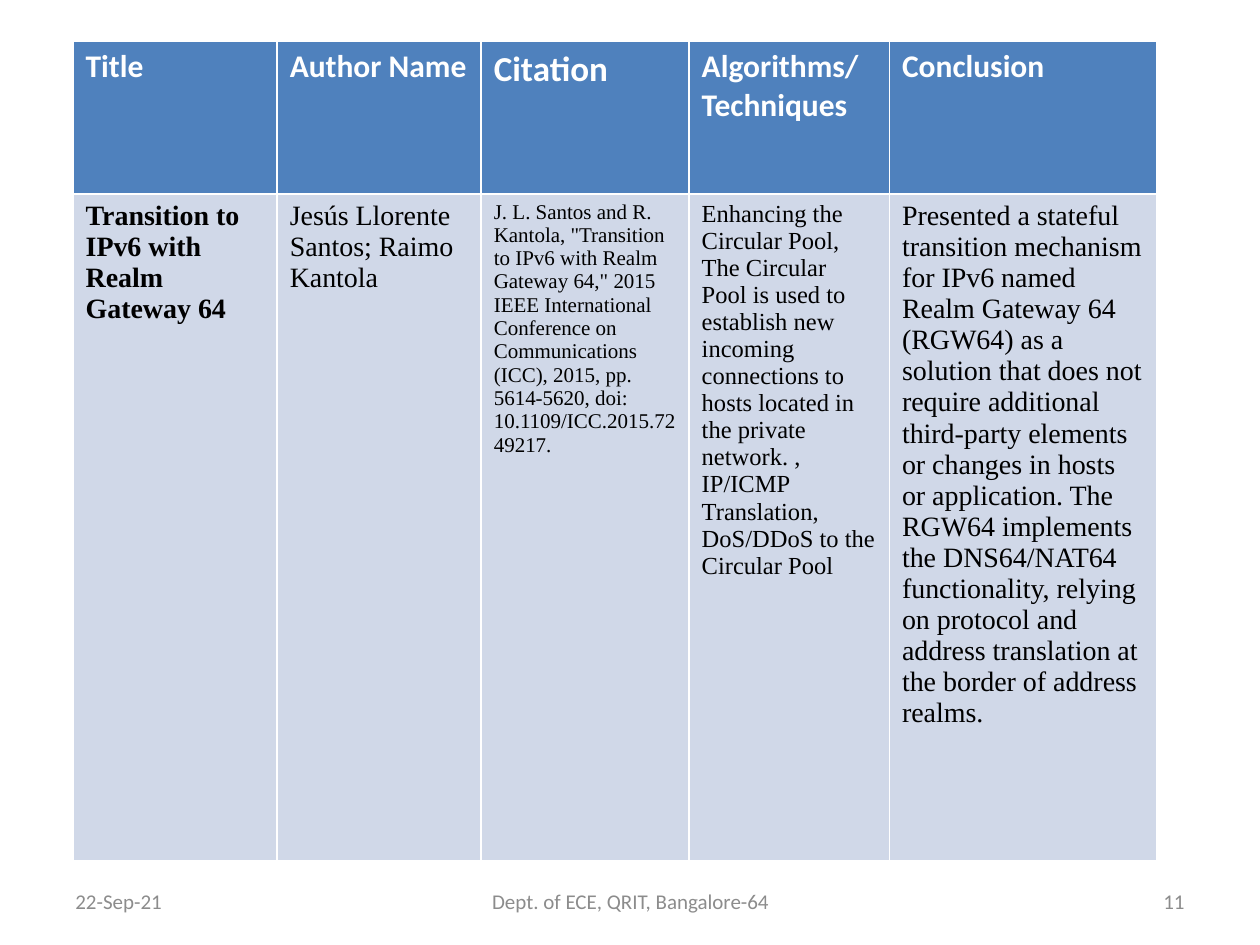
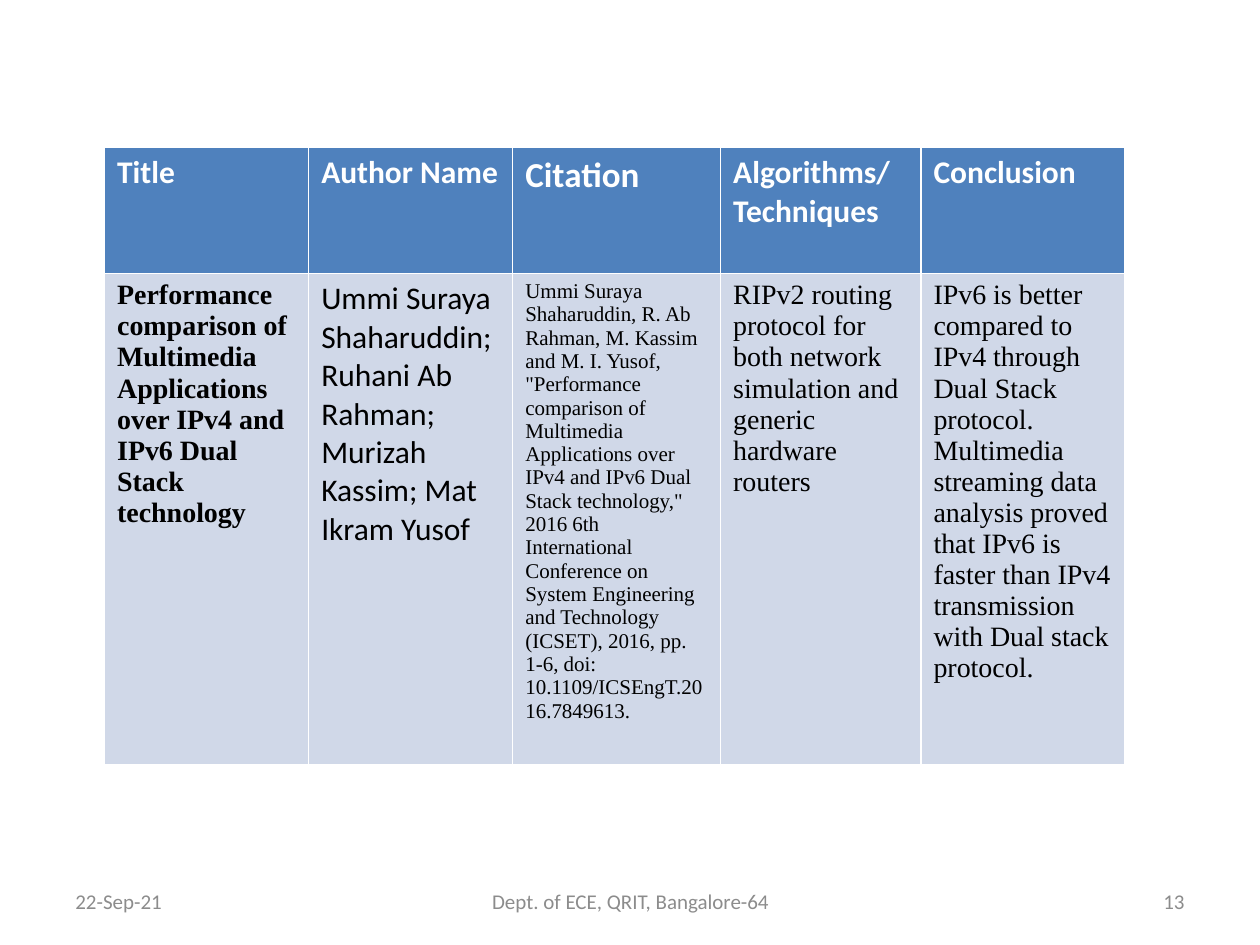
from pptx import Presentation
from pptx.dml.color import RGBColor
from pptx.enum.text import MSO_ANCHOR, PP_ALIGN
from pptx.util import Inches, Pt

COLORS = {"header": "4F81BD", "body": "D0D8E8", "header_text": "FFFFFF",
          "body_text": "000000", "footer_text": "8C8C8C"}
SANS, SERIF = "Calibri", "Times New Roman"

HEADINGS = [("Title", 18), ("Author Name", 18), ("Citation", 20),
            ("Algorithms/Techniques", 18), ("Conclusion", 18)]
FIRST_COLUMNS = [1.62, 1.62, 1.65, 1.59]
FOOTER_TOP, FOOTER_HEIGHT = 6.95, 0.4

# Each paper cell is (text, size, font).
PAPERS = [
    {
        "number": "11",
        "corner": (0.58, 0.33),
        "last_column": 2.12,
        "rows": [1.21, 5.29],
        "cells": [
            ("Transition to IPv6 with Realm Gateway 64", 16, SERIF),
            ("Jesús Llorente Santos; Raimo Kantola", 16, SERIF),
            ('J. L. Santos and R. Kantola, "Transition to IPv6 with Realm '
             'Gateway 64," 2015 IEEE International Conference on '
             "Communications (ICC), 2015, pp. 5614-5620, doi: "
             "10.1109/ICC.2015.7249217.", 12, SERIF),
            ("Enhancing the Circular Pool, The Circular Pool is used to "
             "establish new incoming connections to hosts located in the "
             "private network. , IP/ICMP Translation, DoS/DDoS to the "
             "Circular Pool", 14, SERIF),
            ("Presented a stateful transition mechanism for IPv6 named Realm "
             "Gateway 64 (RGW64) as a solution that does not require "
             "additional third-party elements or changes in hosts or "
             "application. The RGW64 implements the DNS64/NAT64 "
             "functionality, relying on protocol and address translation at "
             "the border of address realms.", 16, SERIF),
        ],
    },
    {
        "number": "13",
        "corner": (0.83, 1.17),
        "last_column": 1.62,
        "rows": [1.0, 3.62],
        "cells": [
            ("Performance comparison of Multimedia Applications over IPv4 "
             "and IPv6 Dual Stack technology", 16, SERIF),
            ("Ummi Suraya Shaharuddin; Ruhani Ab Rahman; Murizah Kassim; Mat "
             "Ikram Yusof", 18, SANS),
            ("Ummi Suraya Shaharuddin, R. Ab Rahman, M. Kassim and M. I. "
             'Yusof, "Performance comparison of Multimedia Applications over '
             'IPv4 and IPv6 Dual Stack technology," 2016 6th International '
             "Conference on System Engineering and Technology (ICSET), 2016, "
             "pp. 1-6, doi: 10.1109/ICSEngT.2016.7849613.", 12, SERIF),
            ("RIPv2 routing protocol for both network simulation and generic "
             "hardware routers", 16, SERIF),
            ("IPv6 is better compared to IPv4 through Dual Stack protocol. "
             "Multimedia streaming data analysis proved that IPv6 is faster "
             "than IPv4 transmission with Dual stack protocol.", 16, SERIF),
        ],
    },
]


def write(frame, text, size, font, color, bold=False, align=PP_ALIGN.LEFT):
    frame.word_wrap = True
    para = frame.paragraphs[0]
    para.text = text
    para.alignment = align
    para.font.size = Pt(size)
    para.font.name = font
    para.font.bold = bold
    para.font.color.rgb = RGBColor.from_string(COLORS[color])


def fill_cell(cell, color):
    cell.fill.solid()
    cell.fill.fore_color.rgb = RGBColor.from_string(COLORS[color])


def add_footer(page, number):
    parts = [(0.5, 2.33, "22-Sep-21", PP_ALIGN.LEFT),
             (3.42, 3.17, "Dept. of ECE, QRIT, Bangalore-64", PP_ALIGN.CENTER),
             (7.17, 2.33, number, PP_ALIGN.RIGHT)]
    for left, width, text, align in parts:
        box = page.shapes.add_textbox(Inches(left), Inches(FOOTER_TOP),
                                      Inches(width), Inches(FOOTER_HEIGHT))
        box.text_frame.vertical_anchor = MSO_ANCHOR.MIDDLE
        write(box.text_frame, text, 12, SANS, "footer_text", align=align)


def add_paper_table(page, corner, last_column, rows, cells):
    """Place the headings over one paper; the table style draws white rules."""
    widths = FIRST_COLUMNS + [last_column]
    left, top = corner
    table = page.shapes.add_table(
        len(rows), len(widths), Inches(left), Inches(top),
        Inches(sum(widths)), Inches(sum(rows))).table
    for row, height in zip(table.rows, rows):
        row.height = Inches(height)
    for index, width in enumerate(widths):
        table.columns[index].width = Inches(width)
        heading, paper = table.cell(0, index), table.cell(1, index)
        fill_cell(heading, "header")
        fill_cell(paper, "body")
        text, size = HEADINGS[index]
        write(heading.text_frame, text, size, SANS, "header_text", bold=True)
        text, size, font = cells[index]
        write(paper.text_frame, text, size, font, "body_text", bold=index == 0)


def add_paper_slide(deck, paper):
    page = deck.slides.add_slide(deck.slide_layouts[6])
    add_footer(page, paper["number"])
    add_paper_table(page, paper["corner"], paper["last_column"],
                    paper["rows"], paper["cells"])


def main():
    deck = Presentation()
    deck.slide_width, deck.slide_height = Inches(10), Inches(7.5)
    for paper in PAPERS:
        add_paper_slide(deck, paper)
    deck.save("out.pptx")


if __name__ == "__main__":
    main()
